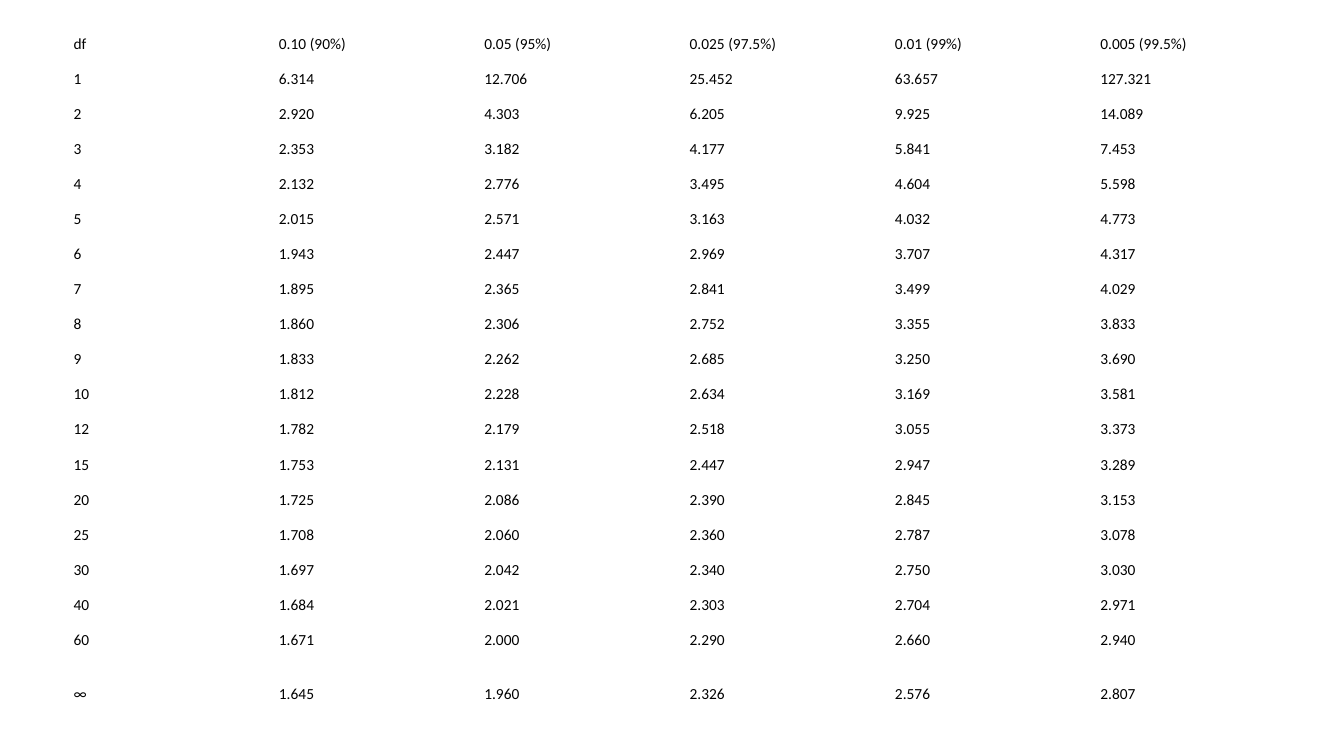
from pptx import Presentation
from pptx.dml.color import RGBColor
from pptx.enum.text import MSO_ANCHOR
from pptx.util import Inches, Pt

HEADERS = ("df", "0.10 (90%)", "0.05 (95%)", "0.025 (97.5%)", "0.01 (99%)", "0.005 (99.5%)")
CRITICAL_VALUES = [
    ("1", "6.314", "12.706", "25.452", "63.657", "127.321"),
    ("2", "2.920", "4.303", "6.205", "9.925", "14.089"),
    ("3", "2.353", "3.182", "4.177", "5.841", "7.453"),
    ("4", "2.132", "2.776", "3.495", "4.604", "5.598"),
    ("5", "2.015", "2.571", "3.163", "4.032", "4.773"),
    ("6", "1.943", "2.447", "2.969", "3.707", "4.317"),
    ("7", "1.895", "2.365", "2.841", "3.499", "4.029"),
    ("8", "1.860", "2.306", "2.752", "3.355", "3.833"),
    ("9", "1.833", "2.262", "2.685", "3.250", "3.690"),
    ("10", "1.812", "2.228", "2.634", "3.169", "3.581"),
    ("12", "1.782", "2.179", "2.518", "3.055", "3.373"),
    ("15", "1.753", "2.131", "2.447", "2.947", "3.289"),
    ("20", "1.725", "2.086", "2.390", "2.845", "3.153"),
    ("25", "1.708", "2.060", "2.360", "2.787", "3.078"),
    ("30", "1.697", "2.042", "2.340", "2.750", "3.030"),
    ("40", "1.684", "2.021", "2.303", "2.704", "2.971"),
    ("60", "1.671", "2.000", "2.290", "2.660", "2.940"),
    ("∞", "1.645", "1.960", "2.326", "2.576", "2.807"),
]
ROWS = [HEADERS, *CRITICAL_VALUES]

BLACK = RGBColor(0x00, 0x00, 0x00)
LEFT, TOP = Inches(0.67), Inches(0.26)
WIDTH, HEIGHT = Inches(12.22), Inches(7)
LAST_ROW_HEIGHT = Inches(0.73)


def write_cell(cell, text, *, font="Calibri", size=11, color=BLACK):
    """Fill one unshaded table cell with formatted text."""
    cell.fill.background()
    cell.vertical_anchor = MSO_ANCHOR.MIDDLE
    cell.margin_left = cell.margin_right = Inches(0.06)
    cell.margin_top = cell.margin_bottom = Inches(0.03)
    span = cell.text_frame.paragraphs[0].add_run()
    span.text = text
    span.font.name = font
    span.font.size = Pt(size)
    span.font.bold = False
    span.font.color.rgb = color


def main():
    """Build the slide with the table of critical values."""
    deck = Presentation()
    deck.slide_width, deck.slide_height = Inches(13.33), Inches(7.5)
    page = deck.slides.add_slide(deck.slide_layouts[6])

    frame = page.shapes.add_table(len(ROWS), len(HEADERS), LEFT, TOP, WIDTH, HEIGHT)
    table = frame.table
    table.first_row = table.horz_banding = False
    for column in table.columns:
        column.width = WIDTH // len(HEADERS)

    row_height = (HEIGHT - LAST_ROW_HEIGHT) // (len(ROWS) - 1)
    for row, texts in zip(table.rows, ROWS):
        row.height = row_height
        for cell, text in zip(row.cells, texts):
            write_cell(cell, text)
    table.rows[len(ROWS) - 1].height = LAST_ROW_HEIGHT

    deck.save("out.pptx")


if __name__ == "__main__":
    main()
